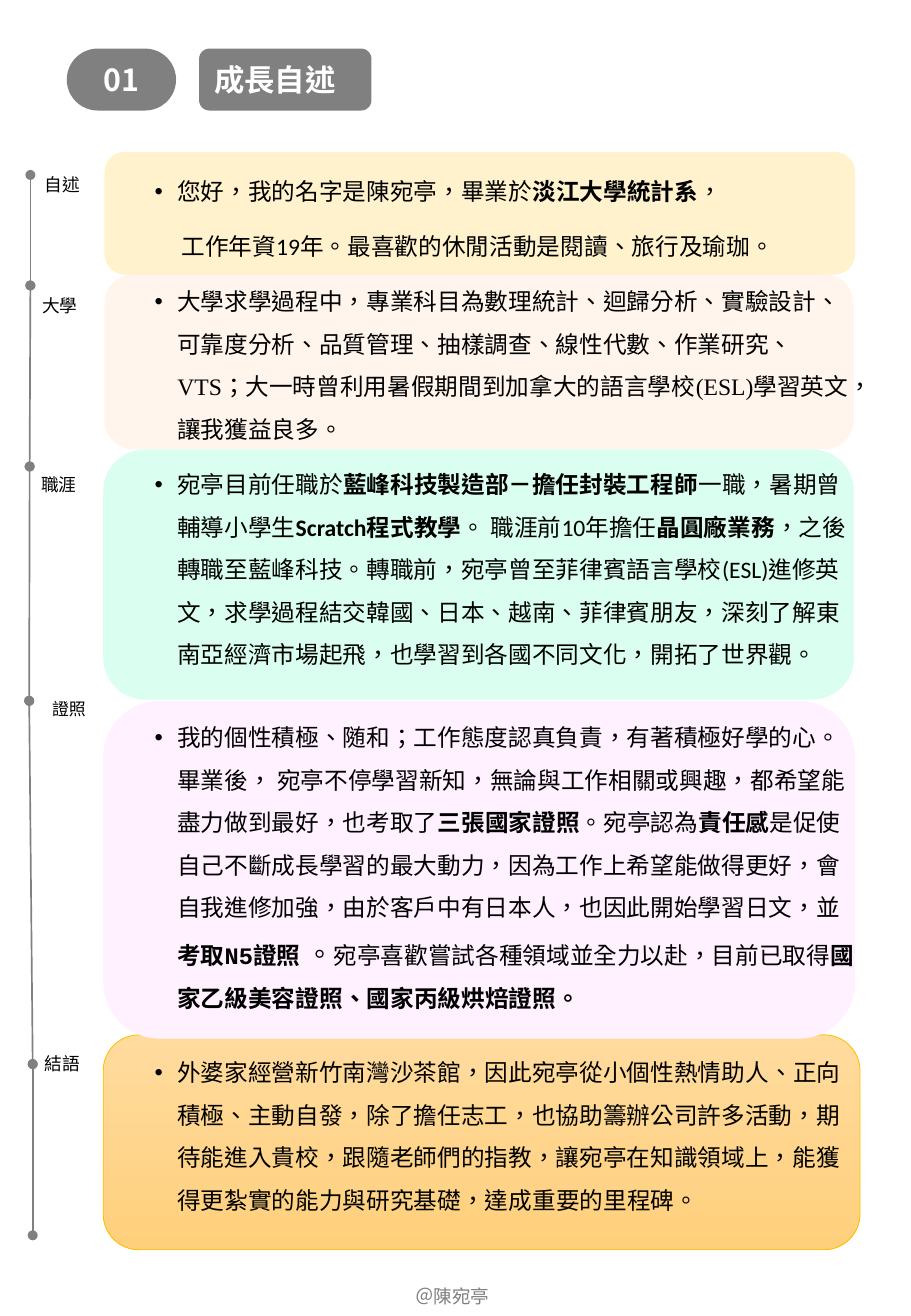
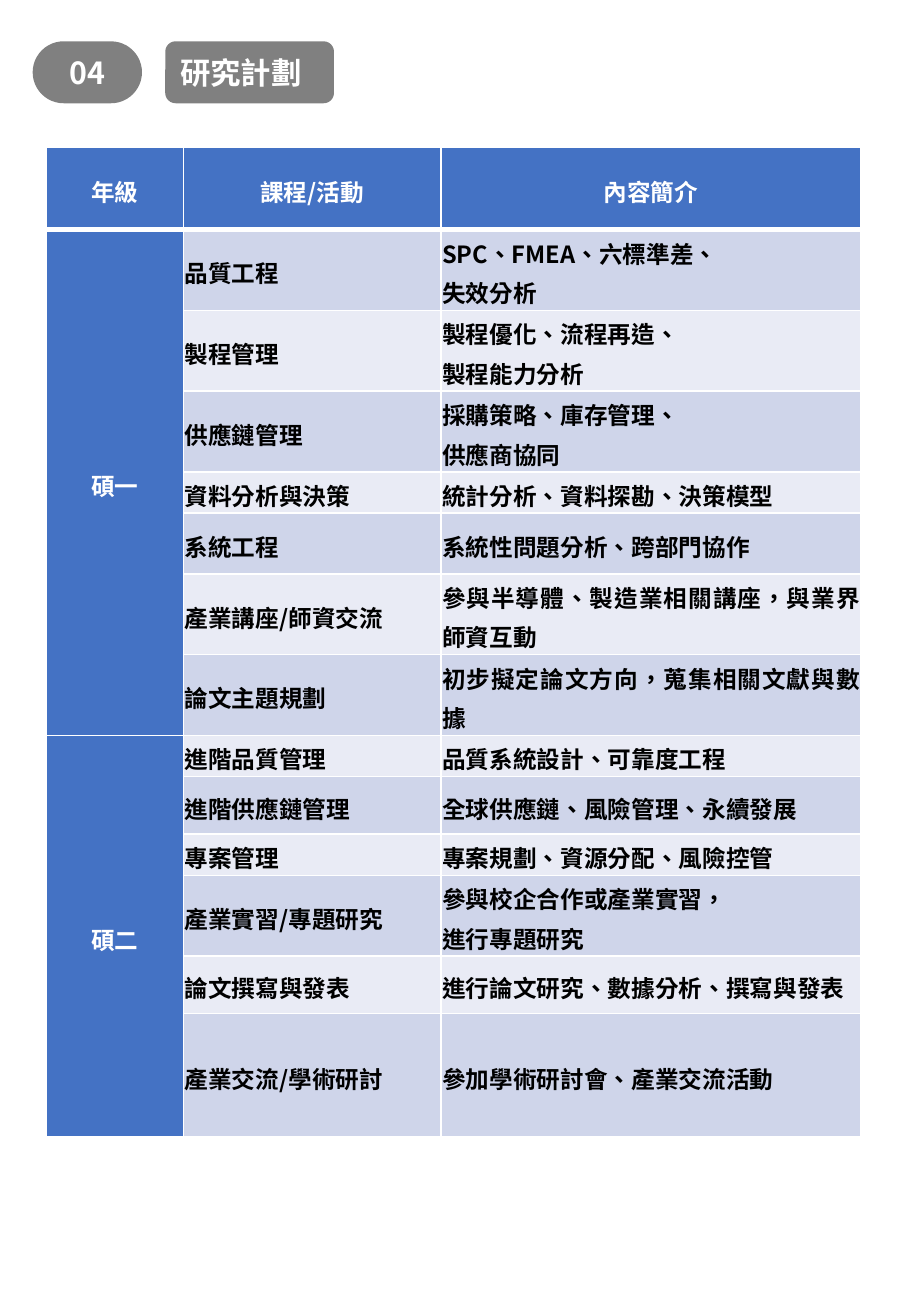
import pptx
import pptx.util
import pptx.dml.color
import pptx.enum.shapes
import pptx.enum.text
import pptx.oxml.ns
import lxml.etree

Pt = pptx.util.Pt
qn = pptx.oxml.ns.qn
SubElement = lxml.etree.SubElement
ALIGN = pptx.enum.text.PP_ALIGN
MIDDLE = pptx.enum.text.MSO_ANCHOR.MIDDLE
ROUND = pptx.enum.shapes.MSO_SHAPE.ROUNDED_RECTANGLE
STRAIGHT = pptx.enum.shapes.MSO_CONNECTOR.STRAIGHT

GRAY, WHITE, BLACK, BLUE = "808080", "FFFFFF", "000000", "4472C4"
STRIPES = ["E9EBF5", "CFD5EA"]
SANS, TABLE_FONT = "Noto Sans CJK SC", "Noto Sans CJK TC"
CAL, TNR, COU = "Calibri", "Times New Roman", "Courier New"


def rgb(value):
    return pptx.dml.color.RGBColor.from_string(value)


def add_text(p, text, font=CAL, size=14, color=BLACK, bold=False, align=None):
    if align is not None:
        p.alignment = align
    r = p.add_run()
    r.text = text
    r.font.name, r.font.size, r.font.bold = font, Pt(size), bold
    r.font.color.rgb = rgb(color)
    rPr = r._r.get_or_add_rPr()
    rPr.set("lang", "zh-TW")
    if font in (SANS, TABLE_FONT):
        SubElement(rPr, qn("a:ea"), typeface=font)


prs = pptx.Presentation()
prs.slide_width, prs.slide_height = Pt(540), Pt(780)

headers = [
    ("01", "成長自述", 39.6, 28.8, 118, 102.2),
    ("04", "研究計劃", 19.4, 24.5, 98, 100),
]
slides = []
for number, title, left, top, title_left, title_width in headers:
    s = prs.slides.add_slide(prs.slide_layouts[6])
    slides.append(s)
    for text, x, w, align in [(number, left, 64.8, ALIGN.CENTER),
                              (title, title_left, title_width, ALIGN.LEFT)]:
        sp = s.shapes.add_shape(ROUND, Pt(x), Pt(top), Pt(w), Pt(36.7))
        sp.shadow.inherit = False
        sp.fill.solid()
        sp.fill.fore_color.rgb = rgb(GRAY)
        sp.line.fill.background()
        if text == number:
            sp.adjustments[0] = 0.5
        sp.text_frame.vertical_anchor = MIDDLE
        add_text(sp.text_frame.paragraphs[0], text, font=SANS, size=18,
                 color=WHITE, bold=True, align=align)

story, plan = slides

bands = [
    (61.2, 613.4, 448.6, 127.4, None),
    (61.9, 90, 445, 72.7, "FFF2CC"),
    (61.2, 266.4, 445, 148.3, "DAFFF1"),
    (61.2, 415.4, 445.7, 200.2, "FFF1FF"),
    (61.9, 162.7, 444.2, 103.7, "FFE4CA"),
]
for x, y, w, h, color in bands:
    sp = story.shapes.add_shape(ROUND, Pt(x), Pt(y), Pt(w), Pt(h))
    sp.shadow.inherit = False
    if color:
        sp.fill.solid()
        sp.fill.fore_color.rgb = rgb(color)
        sp.line.fill.background()
    else:
        sp.fill.gradient()
        sp.fill.gradient_angle = 270
        for stop, shade in zip(sp.fill.gradient_stops, ["FFDB9E", "FFD07C"]):
            stop.color.rgb = rgb(shade)
        sp.line.color.rgb = rgb("FFC000")
        sp.line.width = Pt(0.5)
    if color == "FFE4CA":
        tint = sp._element.spPr.find(qn("a:solidFill"))[0]
        SubElement(tint, qn("a:alpha"), val="34000")

labels = [
    ("自述", 19.4, 99.4, 44, 10.5, CAL, BLACK),
    ("大學", 18, 171.4, 44, 10.5, CAL, BLACK),
    ("職涯", 17.3, 277.2, 44, 10.5, CAL, BLACK),
    ("證照", 23.8, 410.4, 44, 10, CAL, BLACK),
    ("結語", 19.4, 620.6, 44, 10.5, CAL, BLACK),
    ("＠陳宛亭", 239, 758.2, 70, 11, SANS, GRAY),
]
for text, x, y, w, size, font, color in labels:
    tf = story.shapes.add_textbox(Pt(x), Pt(y), Pt(w), Pt(20)).text_frame
    tf.word_wrap = True
    add_text(tf.paragraphs[0], text, font=font, size=size, color=color)

stops = [(18, 103.7), (18, 169.2), (17.6, 276.5), (17.3, 415.4), (19.4, 630.7), (19.4, 732.2)]
for (x1, y1), (x2, y2) in zip(stops, stops[1:]):
    line = story.shapes.add_connector(STRAIGHT, Pt(x1), Pt(y1), Pt(x2), Pt(y2))
    line.line.color.rgb = rgb(GRAY)
    line.line.width = Pt(1)
    ln = line.line._get_or_add_ln()
    SubElement(ln, qn("a:headEnd"), type="oval")
    SubElement(ln, qn("a:tailEnd"), type="oval")
    SubElement(line._element.spPr, qn("a:effectLst"))

paragraphs = [
    (True, 7.5, [
        ("您好，我的名字是陳宛亭，畢業於", CAL, False),
        ("淡江大學統計系", CAL, True),
        ("，", CAL, False)]),
    (False, 7.5, [
        ("工作年資19年。最喜歡的休閒活動是閱讀", CAL, False),
        ("、", TNR, False),
        ("旅行及瑜珈。", CAL, False)]),
    (True, 7.5, [
        ("大學求學過程中，專業科目為數理統計、迴歸分析、實驗設計、可靠度分析、品質管理、"
         "抽樣調查、線性代數、作業研究、VTS；大一時曾利用暑假期間到加拿大的語言學校(ESL)"
         "學習英文，讓我獲益良多。", TNR, False)]),
    (True, 7.5, [
        ("宛亭目前任職於", CAL, False),
        ("藍峰科技製造部－擔任封裝工程師", CAL, True),
        ("一職，暑期曾輔導小學生", CAL, False),
        ("Scratch程式教學", CAL, True),
        ("。 職涯前10年擔任", CAL, False),
        ("晶圓廠業務", CAL, True),
        ("，之後轉職至藍峰科技。轉職前，宛亭曾至菲律賓語言學校(ESL)進修英文，"
         "求學過程結交韓國、日本、越南、菲律賓朋友，深刻了解東南亞經濟市場起飛，"
         "也學習到各國不同文化，開拓了世界觀。", CAL, False)]),
    (True, 24, [
        ("我的個性積極、随和；工作態度認真負責，有著積極好學的心", COU, False),
        ("。", TNR, False),
        ("畢業後， 宛亭不停學習新知，無論與工作相關或興趣，都希望能盡力做到最好，也考取了", COU, False),
        ("三張國家證照", COU, True),
        ("。宛亭認為", TNR, False),
        ("責任感", COU, True),
        ("是促使自己不斷成長學習的最大動力，因為工作上希望能做得更好，會自我進修加強，"
         "由於客戶中有日本人，也因此開始學習日文，並", COU, False),
        ("考取N5證照", COU, True),
        (" 。", TNR, False, 16),
        ("宛亭喜歡嘗試各種領域並全力以赴，目前已取得", TNR, False),
        ("國家乙級美容證照", TNR, True),
        ("、國家丙級烘焙證照", CAL, True),
        ("。", TNR, True)]),
    (True, 18.5, [
        ("外婆家經營新竹南灣沙茶館，因此宛亭從小個性熱情助人", TNR, False),
        ("、", CAL, False),
        ("正向積極", TNR, False),
        ("、", CAL, False),
        ("主動自發，除了擔任志工，也協助籌辦公司許多活動，", TNR, False),
        ("期待能進入貴校，跟隨老師們的指教，讓宛亭在知識領域上，能獲得更紮實的能力與研究基礎，"
         "達成重要的里程碑。", CAL, False)]),
]
tf = story.shapes.add_textbox(Pt(84.5), Pt(92.9), Pt(431.3), Pt(664.6)).text_frame
tf.word_wrap = True
for i, (bullet, before, runs) in enumerate(paragraphs):
    p = tf.add_paragraph() if i else tf.paragraphs[0]
    p.line_spacing = 1.5
    p.space_before = Pt(before)
    pPr = p._p.get_or_add_pPr()
    pPr.set("marL", str(Pt(13.5 if bullet else 16)))
    pPr.set("indent", str(Pt(-13.5 if bullet else 0)))
    if bullet:
        SubElement(pPr, qn("a:buFont"), typeface="Arial")
        SubElement(pPr, qn("a:buChar"), char="•")
    for text, font, bold, *size in runs:
        add_text(p, text, font=font, bold=bold, size=size[0] if size else 14)

rows = [
    (49, "年級", "課程/活動", "內容簡介"),
    (43.2, "碩一", "品質工程", "SPC、FMEA、六標準差、\n失效分析"),
    (43.2, "", "製程管理", "製程優化、流程再造、\n製程能力分析"),
    (43.2, "", "供應鏈管理", "採購策略、庫存管理、\n供應商協同"),
    (21.6, "", "資料分析與決策", "統計分析、資料探勘、決策模型"),
    (36, "", "系統工程", "系統性問題分析、跨部門協作"),
    (43.2, "", "產業講座/師資交流", "參與半導體、製造業相關講座，與業界師資互動"),
    (42.5, "", "論文主題規劃", "初步擬定論文方向，蒐集相關文獻與數據"),
    (21.6, "碩二", "進階品質管理", "品質系統設計、可靠度工程"),
    (34, "", "進階供應鏈管理", "全球供應鏈、風險管理、永續發展"),
    (21.6, "", "專案管理", "專案規劃、資源分配、風險控管"),
    (43.2, "", "產業實習/專題研究", "參與校企合作或產業實習，\n進行專題研究"),
    (34, "", "論文撰寫與發表", "進行論文研究、數據分析、撰寫與發表"),
    (73.4, "", "產業交流/學術研討", "參加學術研討會、產業交流活動"),
]
widths = [81.4, 152.6, 249.1]
table = plan.shapes.add_table(len(rows), len(widths), Pt(27.4), Pt(87.1), Pt(sum(widths)),
                              Pt(sum(row[0] for row in rows))).table
for column, width in zip(table.columns, widths):
    column.width = Pt(width)
for first, last in [(1, 7), (8, 13)]:
    table.cell(first, 0).merge(table.cell(last, 0))

for i, (height, *texts) in enumerate(rows):
    table.rows[i].height = Pt(height)
    for j, text in enumerate(texts):
        cell = table.cell(i, j)
        heading = i == 0 or j == 0
        cell.margin_left = cell.margin_right = Pt(0.7)
        cell.margin_top = cell.margin_bottom = Pt(0.5)
        cell.vertical_anchor = MIDDLE
        cell.fill.solid()
        cell.fill.fore_color.rgb = rgb(BLUE if heading else STRIPES[i % 2])
        tcPr = cell._tc.get_or_add_tcPr()
        for k, side in enumerate(["lnL", "lnR", "lnT", "lnB"]):
            thick = (i, side) in [(0, "lnB"), (1, "lnT")]
            ln = SubElement(tcPr, qn("a:" + side), w=str(Pt(3 if thick else 1)))
            SubElement(SubElement(ln, qn("a:solidFill")), qn("a:srgbClr"), val=WHITE)
            tcPr.insert(k, ln)
        if not text:
            continue
        for n, part in enumerate(text.split("\n")):
            p = cell.text_frame.add_paragraph() if n else cell.text_frame.paragraphs[0]
            p.line_spacing = 1.15
            add_text(p, part, font=TABLE_FONT, bold=True, color=WHITE if heading else BLACK,
                     align=ALIGN.CENTER if heading else ALIGN.JUSTIFY)

prs.save("out.pptx")
